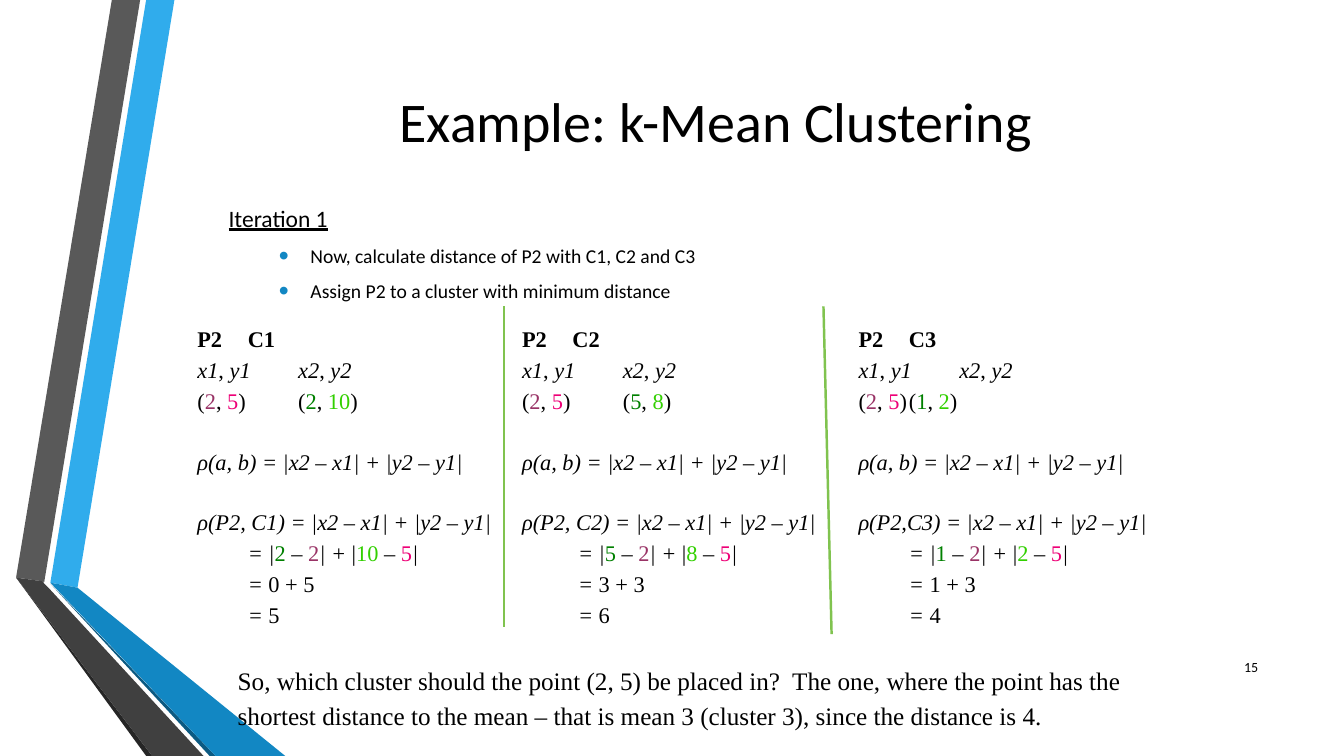
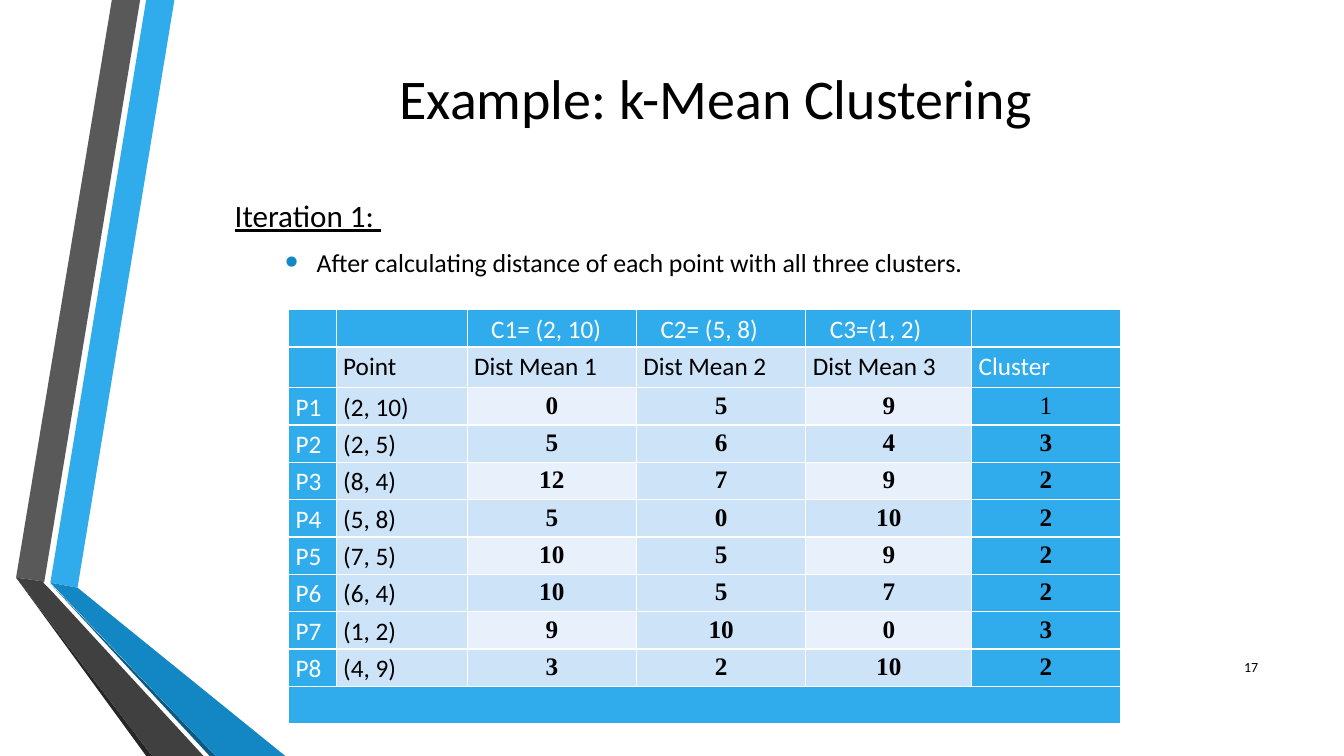
"""Build two slides on the first iteration of a k-means clustering example."""
from lxml.etree import SubElement
from pptx import Presentation
from pptx.dml.color import RGBColor
from pptx.enum.shapes import MSO_CONNECTOR
from pptx.enum.text import MSO_ANCHOR, PP_ALIGN
from pptx.oxml.ns import qn
from pptx.util import Pt

BLACK = RGBColor(0x00, 0x00, 0x00)
WHITE = RGBColor(0xFF, 0xFF, 0xFF)
SKY = RGBColor(0x30, 0xAC, 0xEC)
BLUE = RGBColor(0x12, 0x87, 0xC3)
NAVY = RGBColor(0x0C, 0x5A, 0x82)
GREY = RGBColor(0x59, 0x59, 0x59)
CHARCOAL = RGBColor(0x40, 0x40, 0x40)
INK = RGBColor(0x26, 0x26, 0x26)
LEAF = RGBColor(0x80, 0xC3, 0x4F)
PLUM = RGBColor(0x99, 0x33, 0x66)
PINK = RGBColor(0xEE, 0x00, 0x77)
GREEN = RGBColor(0x00, 0x80, 0x00)
LIME = RGBColor(0x32, 0xD0, 0x00)
PALE = RGBColor(0xCD, 0xE3, 0xF8)
PALER = RGBColor(0xE8, 0xF1, 0xFB)
SANS, SERIF = "Calibri", "Times New Roman"

TITLE = "Example: k-Mean Clustering"
BANDS = [
    (SKY, [(36, 416.2), (55.4, 419.8), (124.6, 0), (104.4, 0)]),
    (GREY, [(100.1, 0), (79.9, 0), (11.5, 412.6), (31.7, 415.4)]),
    (INK, [(11.5, 412.6), (104.4, 540), (108.7, 540)]),
    (NAVY, [(36, 416.9), (149.8, 540), (154.1, 540)]),
    (BLUE, [(36, 416.2), (154.1, 540), (203.8, 540), (55.4, 419.8)]),
    (CHARCOAL, [(145.4, 540), (34.6, 419.8), (31, 416.2), (31.7, 415.4),
                (11.5, 412.6), (108.7, 540)]),
]

POINT = (2, 5)
STEPS = ["Now, calculate distance of P2 with C1, C2 and C3",
         "Assign P2 to a cluster with minimum distance"]
# name, comma, centre, left, width, tab of the centre, tab of the working
CENTRES = [
    ("C1", ", ", (2, 10), 133.9, 228, 72, 36),
    ("C2", ", ", (5, 8), 365.8, 228, 72, 40),
    ("C3", ",", (1, 2), 606.2, 252, 36, 36),
]
DIVIDERS = [(360, 218.9, 360, 447.8), (588.2, 218.9, 594, 452.9)]
FORMULA = "|x2 – x1| + |y2 – y1|"
ANSWER = ("So, which cluster should the point (2, 5) be placed in?  The one, where the "
          "point has the shortest distance to the mean – that is mean 3 (cluster 3), "
          "since the distance is 4.")

RESULT = ["After calculating distance of each point with all three clusters."]
TABLE = [
    ("", "", "C1= (2, 10)", "C2= (5, 8)", "C3=(1, 2)", ""),
    ("", "Point", "Dist Mean 1", "Dist Mean 2", "Dist Mean 3", "Cluster"),
    ("P1", "(2, 10)", "0", "5", "9", "1"),
    ("P2", "(2, 5)", "5", "6", "4", "3"),
    ("P3", "(8, 4)", "12", "7", "9", "2"),
    ("P4", "(5, 8)", "5", "0", "10", "2"),
    ("P5", "(7, 5)", "10", "5", "9", "2"),
    ("P6", "(6, 4)", "10", "5", "7", "2"),
    ("P7", "(1, 2)", "9", "10", "0", "3"),
    ("P8", "(4, 9)", "3", "2", "10", "2"),
    ("", "", "", "", "", ""),
]
COLUMN_WIDTHS = [34, 93.5, 121, 121, 118.5, 106]
ROW_HEIGHT, SECOND_ROW_HEIGHT = 26.7, 29


def add_box(page, left, top, width, height, anchor=MSO_ANCHOR.TOP):
    box = page.shapes.add_textbox(Pt(left), Pt(top), Pt(width), Pt(height))
    box.text_frame.word_wrap = True
    box.text_frame.vertical_anchor = anchor
    return box.text_frame


def next_para(frame):
    first = frame.paragraphs[0]
    return frame.add_paragraph() if first.runs else first


def style(para, size, name=SANS, color=BLACK, align=None, spacing=None):
    para.font.size, para.font.name = Pt(size), name
    para.font.color.rgb = color
    para.alignment, para.line_spacing = align, spacing


def add_spans(para, spans):
    for text, color, italic in spans:
        span = para.add_run()
        span.text = text
        span.font.italic = italic
        if color is not None:
            span.font.color.rgb = color


def set_tab(para, position):
    tabs = SubElement(para._p.get_or_add_pPr(), qn("a:tabLst"))
    SubElement(tabs, qn("a:tab"), pos=str(Pt(position)), algn="l")


def set_bullet(para):
    props = para._p.get_or_add_pPr()
    props.set("marL", str(Pt(58.5)))
    props.set("indent", str(Pt(-22.5)))
    color = SubElement(props, qn("a:buClr"))
    SubElement(color, qn("a:srgbClr"), val=str(BLUE))
    SubElement(props, qn("a:buSzPct"), val="145000")
    SubElement(props, qn("a:buFont"), typeface="Arial")
    SubElement(props, qn("a:buChar"), char="•")


def start_page(deck, title_top, number):
    page = deck.slides.add_slide(deck.slide_layouts[6])
    for color, points in BANDS:
        corners = [(Pt(x), Pt(y)) for x, y in points]
        builder = page.shapes.build_freeform(*corners[0])
        builder.add_line_segments(corners[1:], close=True)
        band = builder.convert_to_shape()
        band.shadow.inherit = False
        band.fill.solid()
        band.fill.fore_color.rgb = color
        band.line.fill.background()
    for text, rect, size, align in [
            (TITLE, (116.6, title_top, 789.1, 138.2), 40, PP_ALIGN.CENTER),
            (number, (862.6, 462.2, 43.2, 28.8), 10, PP_ALIGN.RIGHT)]:
        para = add_box(page, *rect, MSO_ANCHOR.MIDDLE).paragraphs[0]
        para.text = text
        style(para, size, align=align)
    return page


def add_outline(page, left, top, heading, heading_size, steps, step_size):
    frame = add_box(page, left, top, 640, 72)
    frame.margin_top = 0
    para = next_para(frame)
    para.text = heading
    para.space_after = Pt(6)
    style(para, heading_size)
    para.font.underline = True
    for step in steps:
        para = next_para(frame)
        para.text = step
        set_bullet(para)
        para.space_before, para.space_after = Pt(0.18 * step_size), Pt(6)
        style(para, step_size)


def add_working(page, name, comma, centre, left, width, centre_tab, work_tab):
    (x1, y1), (x2, y2) = POINT, centre
    across, up = abs(x2 - x1), abs(y2 - y1)
    gap = 21.2
    lines = [
        (36, 0, [(f"P2\t{name}", None, False)]),
        (72, 0, [("x1", None, True), (", ", None, False), ("y1\tx2", None, True),
                 (", ", None, False), ("y2", None, True)]),
        (centre_tab, 0, [("(", None, False), (str(x1), PLUM, False), (", ", None, False),
                         (str(y1), PINK, False), (")\t(", None, False),
                         (str(x2), GREEN, False), (", ", None, False),
                         (str(y2), LIME, False), (")", None, False)]),
        (36, gap, [(f"ρ(a, b) = {FORMULA}", None, True)]),
        (36, gap, [(f"ρ(P2{comma}{name}) = {FORMULA}", None, True)]),
        (work_tab, 0, [("\t= |", None, True), (str(x2), GREEN, False), (" – ", None, True),
                       (str(x1), PLUM, False), ("| + ", None, True), ("|", None, False),
                       (str(y2), LIME, False), (" – ", None, True),
                       (str(y1), PINK, False), ("|", None, True)]),
        (work_tab, 0, [("\t= ", None, True), (f"{across} + {up}", None, False)]),
        (work_tab, 0, [("\t= ", None, True), (str(across + up), None, False)]),
    ]
    frame = add_box(page, left, 226.1, width, 236)
    for index, (tab, before, spans) in enumerate(lines):
        para = next_para(frame)
        add_spans(para, spans)
        set_tab(para, tab)
        para.space_before = Pt(before)
        style(para, 16, SERIF, spacing=1.15)
        para.font.bold = index == 0


def add_divider(page, ends):
    line = page.shapes.add_connector(MSO_CONNECTOR.STRAIGHT, *map(Pt, ends))
    line.line.color.rgb = LEAF
    line.line.width = Pt(1.75)
    SubElement(line._element.spPr, qn("a:effectLst"))


def cell_fill(row, column):
    if row in (0, len(TABLE) - 1) or column in (0, 5):
        return SKY
    return PALER if row >= 2 and row % 2 == 0 and column in (2, 4) else PALE


def fill_cell(cell, row, column, text):
    props = cell._tc.get_or_add_tcPr()
    for side in ("lnL", "lnR", "lnT", "lnB"):
        border = SubElement(props, qn(f"a:{side}"), w=str(Pt(1)))
        SubElement(SubElement(border, qn("a:solidFill")), qn("a:srgbClr"), val=str(WHITE))
    cell.fill.solid()
    cell.fill.fore_color.rgb = cell_fill(row, column)
    cell.margin_top = cell.margin_bottom = 0
    cell.margin_left = Pt(17.2 if row == 0 else 5)
    cell.margin_right = Pt(5)
    para = cell.text_frame.paragraphs[0]
    para.text = text
    distance = row >= 2 and column >= 2
    white = row == 0 or column == 0 or (row, column) == (1, 5)
    style(para, 18, SERIF if distance else SANS, WHITE if white else BLACK,
          PP_ALIGN.CENTER if distance else None, 1.15)
    para.font.bold = distance and (row, column) != (2, 5)


def add_distances(page):
    rows, columns = len(TABLE), len(COLUMN_WIDTHS)
    frame = page.shapes.add_table(rows, columns, Pt(206.2), Pt(221.2),
                                  Pt(sum(COLUMN_WIDTHS)), Pt(ROW_HEIGHT * rows))
    table = frame.table
    table.first_row = table.horz_banding = False
    for column, width in zip(table.columns, COLUMN_WIDTHS):
        column.width = Pt(width)
    for row, texts in enumerate(TABLE):
        table.rows[row].height = Pt(SECOND_ROW_HEIGHT if row == 1 else ROW_HEIGHT)
        for column, text in enumerate(texts):
            fill_cell(table.cell(row, column), row, column, text)
    table.cell(rows - 1, 0).merge(table.cell(rows - 1, columns - 1))


deck = Presentation()
deck.slide_width, deck.slide_height = Pt(960), Pt(540)

working_page = start_page(deck, 16.6, "15")
add_outline(working_page, 156.2, 145.5, "Iteration 1", 16.8, STEPS, 14)
for ends in DIVIDERS:
    add_divider(working_page, ends)
answer = add_box(working_page, 162.7, 468.7, 673.9, 57.6).paragraphs[0]
answer.text = ANSWER
style(answer, 18, SERIF, spacing=1.15)
for centre in CENTRES:
    add_working(working_page, *centre)

result_page = start_page(deck, 0, "17")
add_outline(result_page, 160.6, 140, "Iteration 1: ", 22.2, RESULT, 18.5)
add_distances(result_page)

deck.save("out.pptx")
